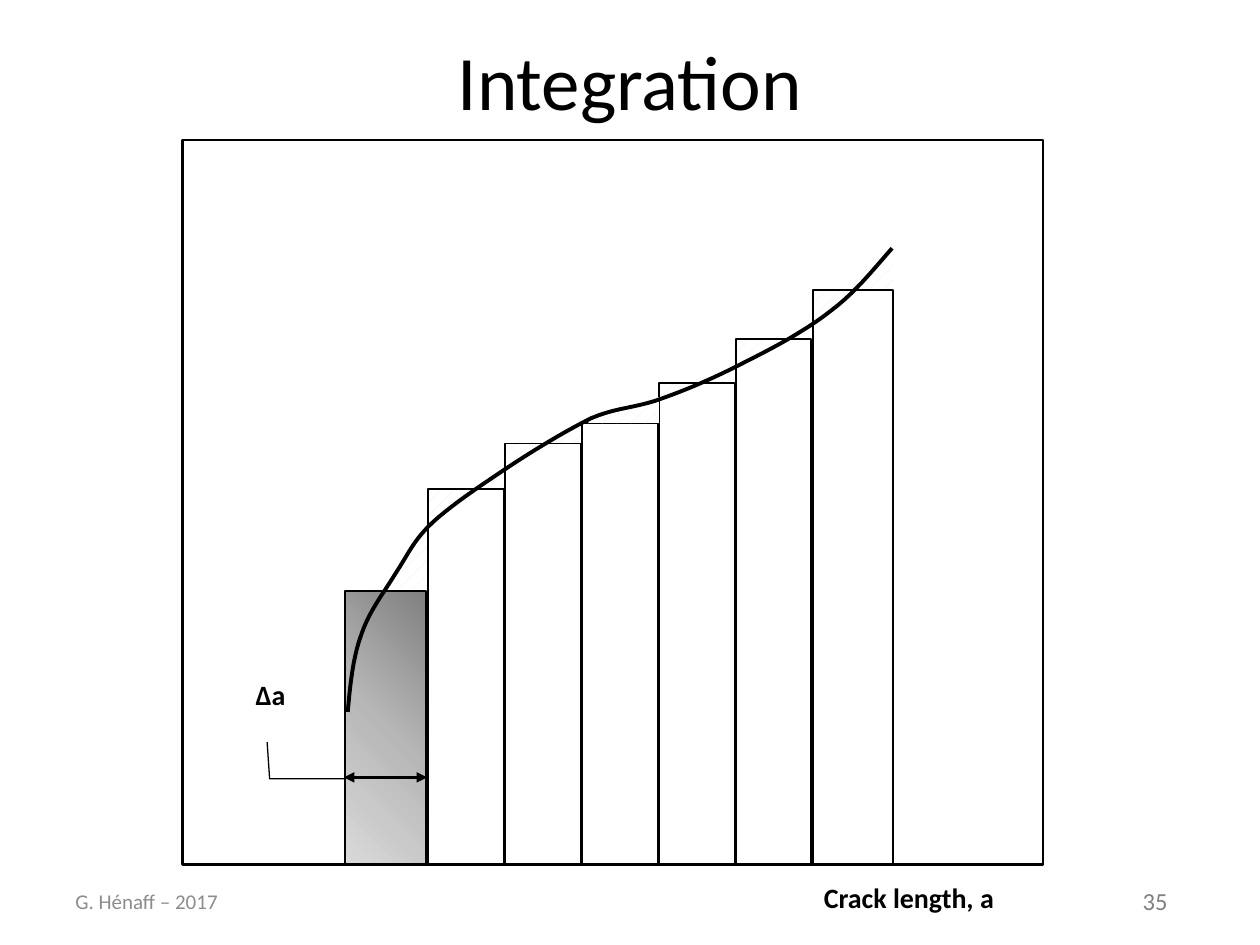
from pptx import Presentation
from pptx import oxml
from pptx.dml.color import RGBColor
from pptx.enum import dml, shapes, text
from pptx.oxml import ns
from pptx.util import Inches, Pt

# Content: label, box, size, colour, bold, wrap, anchor
MID, TOP = text.MSO_ANCHOR.MIDDLE, text.MSO_ANCHOR.TOP
TITLE = "Integration"
LABELS = [
    ("35", (8.97, 6.98, 0.53, 0.34), 14, "808080", False, False, TOP),
    ("G. Hénaff – 2017", (0.5, 6.95, 2.33, 0.4), 12, "8C8C8C", False, True, MID),
    ("Crack length, a", (6.44, 6.94, 1.57, 0.37), 16, "000000", True, False, TOP),
    ("Δa", (1.93, 5.33, 0.45, 0.37), 16, "000000", True, False, TOP),
]

# Plot frame and bars: left, top, width
FRAME = (1.45, 1.11, 6.83, 5.75)
BASE = 6.86
BARS = [(2.74, 4.69, 0.64), (3.4, 3.88, 0.6), (4.01, 3.52, 0.6),
        (4.62, 3.36, 0.6), (5.23, 3.04, 0.6), (5.84, 2.69, 0.6),
        (6.45, 2.3, 0.64)]
SHADES = [(0, "808080"), (50, "B7B7B7"), (100, "D9D9D9")]

# Dotted areas between the bars and the curve
GAPS = [
    [(2.74, 5.63), (2.74, 4.68), (3.06, 4.67), (2.95, 4.84), (2.8, 5.24)],
    [(3.79, 3.87), (4.01, 3.88), (4.01, 3.73)],
    [(3.39, 4.21), (3.4, 3.88), (3.77, 3.88), (3.62, 3.98)],
    [(3.07, 4.67), (3.4, 4.68), (3.39, 4.21), (3.29, 4.3), (3.13, 4.53)],
    [(4.01, 3.71), (4.01, 3.5), (4.37, 3.51), (4.02, 3.73)],
    [(4.36, 3.51), (4.61, 3.51), (4.61, 3.37)],
    [(5.59, 3.04), (5.24, 3.04), (5.25, 3.19)],
    [(5.54, 3.04), (5.88, 3.04), (5.87, 2.89)],
    [(6.27, 2.68), (5.85, 2.68), (5.86, 2.92)],
    [(6.26, 2.68), (6.45, 2.68), (6.45, 2.56)],
    [(6.79, 2.29), (7.1, 2.29), (7.1, 1.96), (7.02, 2.02)],
    [(6.79, 2.3), (6.45, 2.3), (6.45, 2.55), (6.55, 2.5)],
]
LAST_GAP = [(4.66, 3.36), (5.23, 3.36), (5.23, 3.15), (4.79, 3.29)]

# Growth curve: start, then two control points and an end for each span
START = (2.76, 5.65)
SPANS = [
    ((2.78, 5.43), (2.8, 5.22), (2.87, 5.03)),
    ((2.93, 4.85), (3.05, 4.7), (3.14, 4.55)),
    ((3.24, 4.4), (3.28, 4.29), (3.43, 4.15)),
    ((3.58, 4.01), (3.82, 3.85), (4.03, 3.71)),
    ((4.24, 3.57), (4.49, 3.42), (4.69, 3.32)),
    ((4.9, 3.23), (5.05, 3.24), (5.26, 3.16)),
    ((5.46, 3.09), (5.69, 2.99), (5.92, 2.87)),
    ((6.14, 2.76), (6.4, 2.62), (6.59, 2.47)),
    ((6.79, 2.32), (6.93, 2.14), (7.08, 1.97)),
]
STEPS = 10
LEADER = [(2.12, 5.89), (2.14, 6.18), (2.73, 6.18)]
ARROW = (2.73, 6.17, 3.39, 6.17)

prs = Presentation()
prs.slide_width, prs.slide_height = Inches(10), Inches(7.5)
slide = prs.slides.add_slide(prs.slide_layouts[5])
tree = slide.shapes


def rgb(code):
    return RGBColor.from_string(code)


def style(para, size, color, bold=False):
    font = para.font
    font.name, font.size, font.bold = "Calibri", Pt(size), bold
    font.color.rgb = rgb(color)


def stroke(item, width):
    item.line.color.rgb = rgb("000000")
    item.line.width = Pt(width)


def box(at, width):
    rect = tree.add_shape(shapes.MSO_SHAPE.RECTANGLE, *map(Inches, at))
    rect.shadow.inherit = False
    rect.fill.background()
    stroke(rect, width)
    return rect


def trace(points, close=False):
    pts = [(Inches(x), Inches(y)) for x, y in points]
    pen = tree.build_freeform(*pts[0])
    pen.add_line_segments(pts[1:], close=close)
    form = pen.convert_to_shape()
    form.shadow.inherit = False
    form.fill.background()
    return form


def dotted(points):
    gap = trace(points, close=True)
    gap.fill.patterned()
    gap.fill.pattern = dml.MSO_PATTERN.PERCENT_10
    gap.fill.fore_color.rgb = rgb("EEECE1")
    gap.fill.back_color.rgb = rgb("FFFFFF")
    gap.line.fill.background()


def shade(rect):
    """Radial gradient centred on the top right corner."""
    stops = "".join(f'<a:gs pos="{pos * 1000}"><a:srgbClr val="{code}"/></a:gs>'
                    for pos, code in SHADES)
    grad = oxml.parse_xml(
        f'<a:gradFill {ns.nsdecls("a")}><a:gsLst>{stops}</a:gsLst>'
        '<a:path path="circle"><a:fillToRect l="100000" b="100000"/></a:path>'
        '</a:gradFill>')
    props = rect._element.spPr
    props.replace(props.find(ns.qn("a:noFill")), grad)


def smooth(start, spans):
    points = [start]
    for c1, c2, end in spans:
        first = points[-1]
        for i in range(1, STEPS + 1):
            t = i / STEPS
            s = 1 - t
            points.append(tuple(
                s**3 * a + 3 * s * s * t * b + 3 * s * t * t * c + t**3 * d
                for a, b, c, d in zip(first, c1, c2, end)))
    return points


# Title
head = tree.title
head.left, head.top, head.width, head.height = map(Inches, (0.5, 0.01, 9, 1.25))
head.text_frame.text = TITLE
head.text_frame.vertical_anchor = MID
head.text_frame.paragraphs[0].alignment = text.PP_ALIGN.CENTER
style(head.text_frame.paragraphs[0], 44, "000000")

# Dotted areas, frame and bars
for gap in GAPS:
    dotted(gap)
box(FRAME, 1.5)
bars = [box((x, y, w, BASE - y), 1) for x, y, w in BARS]
shade(bars[0])

# Labels
for words, at, size, color, bold, wrap, anchor in LABELS:
    frame = tree.add_textbox(*map(Inches, at)).text_frame
    frame.word_wrap, frame.vertical_anchor = wrap, anchor
    frame.text = words
    style(frame.paragraphs[0], size, color, bold)

# Step width mark
stroke(trace(LEADER), 0.75)
arrow = tree.add_connector(shapes.MSO_CONNECTOR.STRAIGHT, *map(Inches, ARROW))
stroke(arrow, 1.5)
for end in ("headEnd", "tailEnd"):
    arrow.line._get_or_add_ln().append(
        oxml.parse_xml(f'<a:{end} {ns.nsdecls("a")} type="triangle"/>'))
arrow._element.spPr.append(oxml.parse_xml(f'<a:effectLst {ns.nsdecls("a")}/>'))

# Curve over the bars
dotted(LAST_GAP)
stroke(trace(smooth(START, SPANS)), 2.25)

prs.save("out.pptx")
